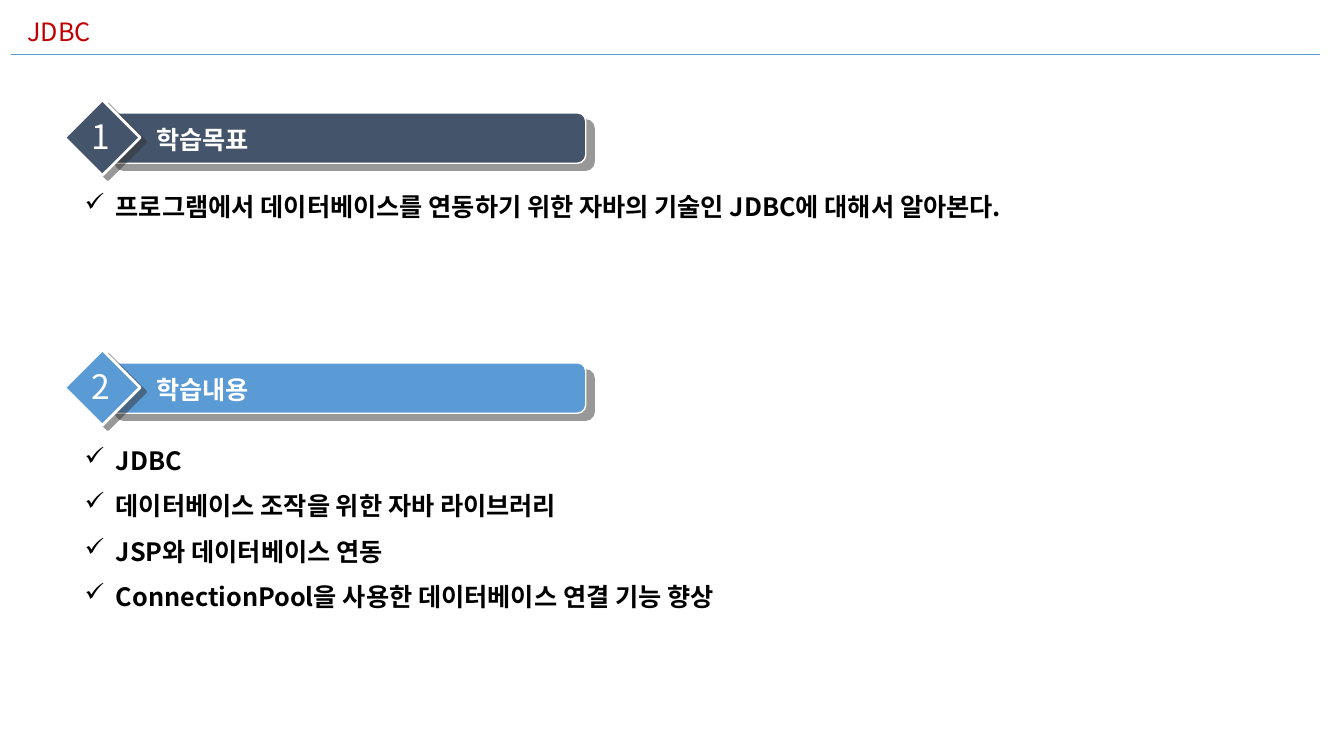
from lxml.etree import SubElement
from pptx import Presentation
from pptx.dml.color import RGBColor
from pptx.enum.shapes import MSO_CONNECTOR, MSO_SHAPE
from pptx.enum.text import MSO_ANCHOR, MSO_AUTO_SIZE, PP_ALIGN
from pptx.oxml.ns import qn
from pptx.util import Inches, Pt

FONT = "Noto Sans CJK KR"
RED = RGBColor(0xC0, 0x00, 0x00)
NAVY = RGBColor(0x44, 0x54, 0x6A)
BLUE = RGBColor(0x5B, 0x9B, 0xD5)
WHITE = RGBColor(0xFF, 0xFF, 0xFF)
BLACK = RGBColor(0x00, 0x00, 0x00)

BADGE_TOP = 0.99
SECTION_STEP = 2.48
SECTIONS = [
    ("학습목표", NAVY, 1.7, 0.95,
     ["프로그램에서 데이터베이스를 연동하기 위한 자바의 기술인 JDBC에 대해서 알아본다."]),
    ("학습내용", BLUE, 4.22, 2.37,
     ["JDBC",
      "데이터베이스 조작을 위한 자바 라이브러리",
      "JSP와 데이터베이스 연동",
      "ConnectionPool을 사용한 데이터베이스 연결 기능 향상"]),
]


def write_text(shape, lines, size, color, bold=False, wrap=True, bullet=None):
    frame = shape.text_frame
    frame.text = "\n".join(lines)
    frame.word_wrap = wrap
    frame.auto_size = MSO_AUTO_SIZE.SHAPE_TO_FIT_TEXT
    frame.vertical_anchor = MSO_ANCHOR.TOP
    for paragraph in frame.paragraphs:
        paragraph.alignment = PP_ALIGN.LEFT
        font = paragraph.font
        font.name, font.size, font.bold = FONT, Pt(size), bold
        font.color.rgb = color
        properties = paragraph._p.pPr
        defaults = properties.find(qn("a:defRPr"))
        latin = defaults.find(qn("a:latin"))
        east_asian = SubElement(defaults, qn("a:ea"), typeface=FONT)
        latin.addnext(east_asian)
        if bullet:
            paragraph.line_spacing = 1.5
            properties.set("marL", str(Inches(0.31)))
            properties.set("indent", str(-Inches(0.31)))
            mark = SubElement(properties, qn("a:buChar"), char=bullet)
            defaults.addprevious(mark)


def add_block(group, preset, box, color, line_width, distance, angle):
    shape = group.shapes.add_shape(preset, *map(Inches, box))
    shape.fill.solid()
    shape.fill.fore_color.rgb = color
    shape.line.color.rgb = WHITE
    shape.line.width = Pt(line_width)
    shape.shadow.inherit = False
    effects = shape._element.spPr.find(qn("a:effectLst"))
    shadow = SubElement(effects, qn("a:outerShdw"), blurRad="0", dist=str(Pt(distance)),
                        dir=str(angle * 60000), algn="ctr", rotWithShape="0")
    shadow_color = SubElement(shadow, qn("a:srgbClr"), val="333333")
    SubElement(shadow_color, qn("a:alpha"), val="50000")
    return shape


presentation = Presentation()
presentation.slide_width = Inches(13.33)
presentation.slide_height = Inches(7.5)
slide = presentation.slides.add_slide(presentation.slide_layouts.get_by_name("Title Only"))

rule = slide.shapes.add_connector(
    MSO_CONNECTOR.STRAIGHT, Inches(0.11), Inches(0.54), Inches(13.09), Inches(0.54))
rule.line.color.rgb = BLUE
rule.line.width = Pt(1)
SubElement(rule._element.spPr, qn("a:effectLst"))

title = slide.shapes.title
title.left, title.top, title.width, title.height = map(Inches, (0.17, 0.11, 4.68, 0.4))
write_text(title, ["JDBC"], 18, RED)

for index, (heading, color, list_top, list_height, items) in enumerate(SECTIONS):
    top = BADGE_TOP + index * SECTION_STEP
    group = slide.shapes.add_group_shape()
    bar = add_block(group, MSO_SHAPE.ROUNDED_RECTANGLE,
                    (1.06, top + 0.13, 4.75, 0.5), color, 1, 7.8, 40)
    bar.adjustments[0] = 0.167
    add_block(group, MSO_SHAPE.DIAMOND, (0.64, top, 0.75, 0.75), color, 2, 5, 37)

    label = group.shapes.add_textbox(*map(Inches, (1.31, top + 0.19, 3.75, 0.4)))
    label.text_frame.margin_left = Inches(0.24)
    write_text(label, [heading], 18, WHITE, bold=True)

    number = group.shapes.add_textbox(*map(Inches, (0.81, top + 0.11, 0.39, 0.5)))
    write_text(number, [str(index + 1)], 24, WHITE, wrap=False)

    item_list = slide.shapes.add_textbox(*map(Inches, (0.74, list_top, 9.62, list_height)))
    write_text(item_list, items, 18, BLACK, bold=True, bullet="✓")

presentation.save("out.pptx")
